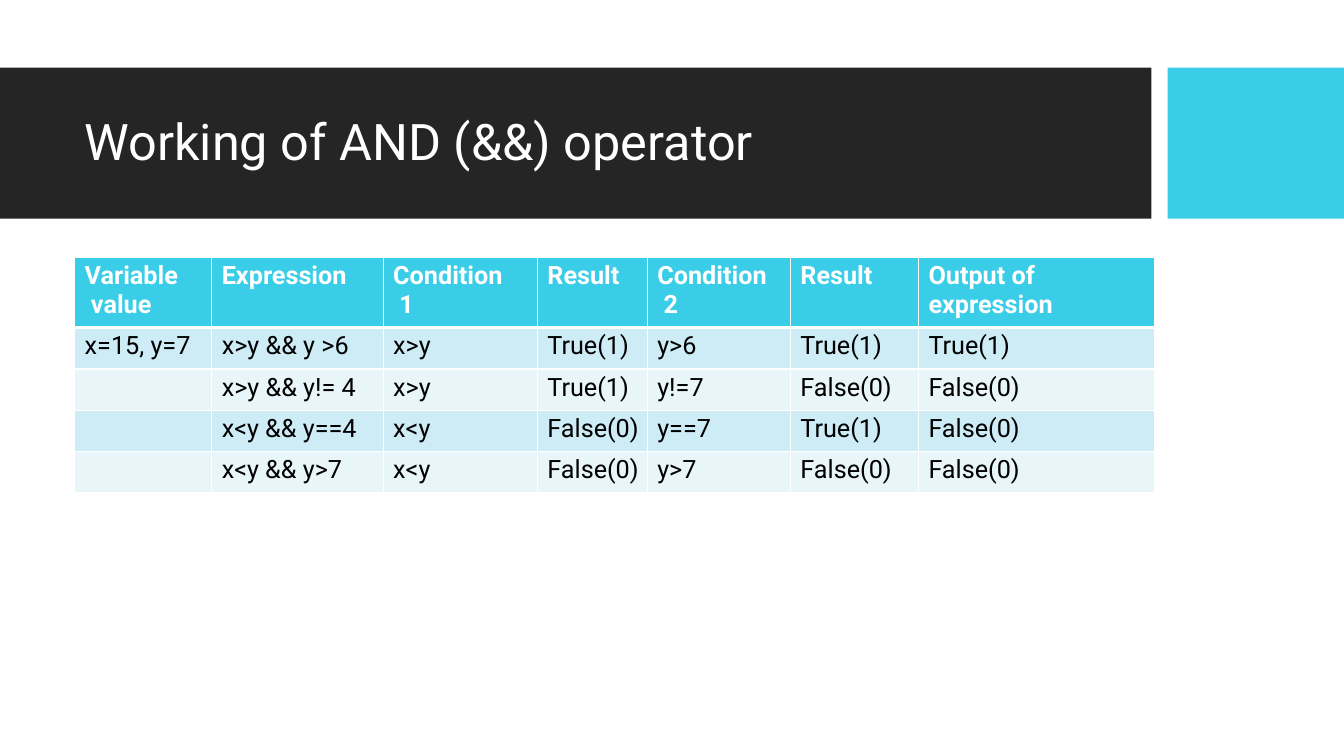
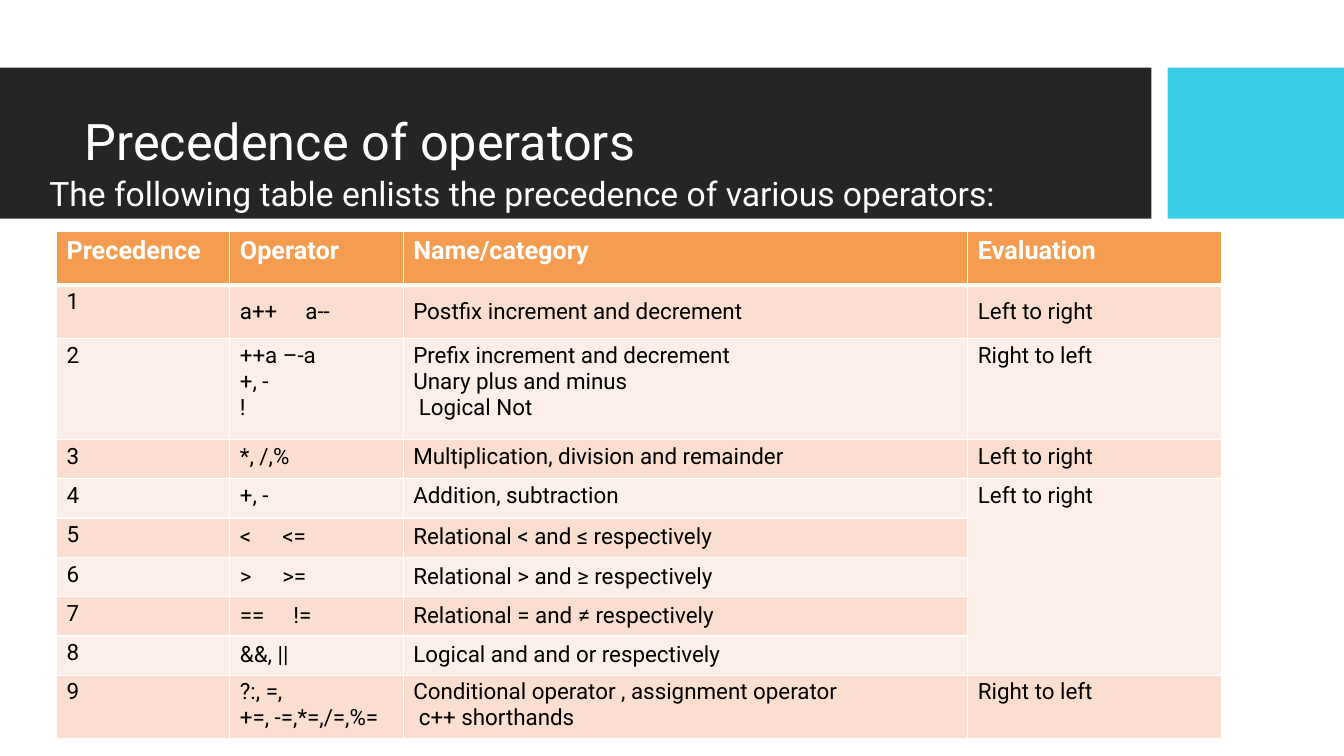
import pptx
import pptx.dml.color
import pptx.enum.shapes
import pptx.enum.text
import pptx.oxml
import pptx.oxml.ns
import pptx.util
from pptx.dml.color import RGBColor
from pptx.util import Inches

WHITE = RGBColor(0xFF, 0xFF, 0xFF)
BLACK = RGBColor(0x00, 0x00, 0x00)
CHARCOAL = RGBColor(0x25, 0x25, 0x25)
CYAN = RGBColor(0x39, 0xCD, 0xE7)
CYAN_BANDS = RGBColor(0xE8, 0xF6, 0xF9), RGBColor(0xCE, 0xEC, 0xF6)
ORANGE = RGBColor(0xF4, 0x9D, 0x50)
ORANGE_BANDS = RGBColor(0xFC, 0xEF, 0xE9), RGBColor(0xFA, 0xDF, 0xD0)
FONT = "Roboto"
CELL_INSET = 0.04
TAB_STOPS = {"a++": 0.65, "<": 0.42, ">": 0.42, "==": 0.53}


def style_font(paragraph, size, color, bold=False):
    paragraph.font.name = FONT
    paragraph.font.size = pptx.util.Pt(size)
    paragraph.font.color.rgb = color
    paragraph.font.bold = bold


def style_cell(cell, text, inset, fill, size, color, bold, rule_widths):
    cell.margin_left = Inches(0.1)
    cell.margin_top = Inches(inset)
    cell.margin_right = cell.margin_bottom = 0
    cell.text = text
    for paragraph in cell.text_frame.paragraphs:
        stop = TAB_STOPS.get(paragraph.text.split("\t")[0])
        if stop:
            paragraph._p.get_or_add_pPr().append(pptx.oxml.parse_xml(
                f'<a:tabLst {pptx.oxml.ns.nsdecls("a")}>'
                f'<a:tab pos="{Inches(stop)}" algn="l"/></a:tabLst>'))
        style_font(paragraph, size, color, bold)
    properties = cell._tc.get_or_add_tcPr()
    for side, width in zip("LRTB", rule_widths):
        properties.append(pptx.oxml.parse_xml(
            f'<a:ln{side} {pptx.oxml.ns.nsdecls("a")} w="{pptx.util.Pt(width)}">'
            f'<a:solidFill><a:srgbClr val="{WHITE}"/></a:solidFill></a:ln{side}>'))
    cell.fill.solid()
    cell.fill.fore_color.rgb = fill


pages = [
    {
        "title_box": (0.83, 1.06, 6.78, 0.63),
        "title_inset": 0.03,
        "title_lines": [("Working of AND (&&) operator", 36, 0.01)],
        "table_origin": (0.74, 2.55),
        "columns": [1.36, 1.7, 1.53, 1.09, 1.42, 1.27, 2.34],
        "heights": [0.7] + [0.41] * 4,
        "header_fill": CYAN,
        "bands": CYAN_BANDS,
        "body_size": 18,
        "rows": [
            (CELL_INSET, ["Variable\v value", "Expression", "Condition\v 1", "Result",
                          "Condition\v 2", "Result", "Output of\vexpression"]),
            (CELL_INSET, ["x=15, y=7", "x>y && y >6", "x>y", "True(1)", "y>6", "True(1)", "True(1)"]),
            (CELL_INSET, ["", "x>y && y!= 4", "x>y", "True(1)", "y!=7", "False(0)", "False(0)"]),
            (CELL_INSET, ["", "x<y && y==4", "x<y", "False(0)", "y==7", "True(1)", "False(0)"]),
            (CELL_INSET, ["", "x<y && y>7", "x<y", "False(0)", "y>7", "False(0)", "False(0)"]),
        ],
        "merges": [],
    },
    {
        "title_box": (0.48, 1.02, 9.65, 1.09),
        "title_inset": 0.07,
        "title_lines": [
            ("Precedence of operators", 36, 0.36),
            ("The following table enlists the precedence of various operators:", 24, 0.01),
        ],
        "table_origin": (0.56, 2.3),
        "columns": [1.72, 1.72, 5.6, 2.52],
        "heights": [0.53, 0.53, 1] + [0.39] * 6 + [0.63],
        "header_fill": ORANGE,
        "bands": ORANGE_BANDS,
        "body_size": 16,
        "rows": [
            (CELL_INSET, ["Precedence", "Operator", "Name/category", "Evaluation"]),
            (0.13, ["1", "a++\ta--", "Postfix increment and decrement", "Left to right"]),
            (CELL_INSET, ["2", "++a –-a\n+, -\n!",
                          "Prefix increment and decrement\nUnary plus and minus\n Logical Not",
                          "Right to left"]),
            (CELL_INSET, ["3", "*, /,%", "Multiplication, division and remainder", "Left to right"]),
            (CELL_INSET, ["4", "+, -", "Addition, subtraction", "Left to right"]),
            (0.06, ["5", "<\t<=", "Relational < and ≤ respectively", ""]),
            (0.06, ["6", ">\t>=", "Relational > and ≥ respectively", ""]),
            (0.06, ["7", "==\t!=", "Relational = and ≠ respectively", ""]),
            (0.06, ["8", "&&, ||", "Logical and and or respectively", ""]),
            (CELL_INSET, ["9", "?:, =,\n+=, -=,*=,/=,%=",
                          "Conditional operator , assignment operator\n c++ shorthands",
                          "Right to left"]),
        ],
        "merges": [((4, 3), (8, 3))],
    },
]

deck = pptx.Presentation()
deck.slide_width = Inches(13.33)
deck.slide_height = Inches(7.5)
layout = deck.slide_layouts[5]
for placeholder in list(layout.placeholders):
    if placeholder.placeholder_format.type != pptx.enum.shapes.PP_PLACEHOLDER.TITLE:
        placeholder.element.getparent().remove(placeholder.element)

slides = [deck.slides.add_slide(layout) for page in pages]

for left, width, color in [(0, 11.42, CHARCOAL), (11.58, 1.75, CYAN)]:
    band = slides[0].shapes.add_shape(
        pptx.enum.shapes.MSO_SHAPE.RECTANGLE,
        Inches(left), Inches(0.67), Inches(width), Inches(1.5))
    band.shadow.inherit = False
    band.fill.solid()
    band.fill.fore_color.rgb = color
    band.line.fill.background()
    band_id = len(layout.shapes) + 2
    layout.shapes.element.append(band.element)
    band.element.nvSpPr.cNvPr.set("id", str(band_id))

for slide, page in zip(slides, pages):
    title = slide.shapes.title
    title.left, title.top, title.width, title.height = map(Inches, page["title_box"])
    frame = title.text_frame
    frame.text = "\n".join(line for line, size, indent in page["title_lines"])
    frame.word_wrap = True
    frame.auto_size = pptx.enum.text.MSO_AUTO_SIZE.NONE
    frame.vertical_anchor = pptx.enum.text.MSO_ANCHOR.TOP
    frame.margin_left = frame.margin_right = frame.margin_bottom = 0
    frame.margin_top = Inches(page["title_inset"])
    for paragraph, (line, size, indent) in zip(frame.paragraphs, page["title_lines"]):
        style_font(paragraph, size, WHITE)
        paragraph.alignment = pptx.enum.text.PP_ALIGN.LEFT
        paragraph.space_before = pptx.util.Pt(1.7 if size < 36 else 0)
        paragraph._p.get_or_add_pPr().set("marL", str(Inches(indent)))

    columns, heights, rows = page["columns"], page["heights"], page["rows"]
    left, top = page["table_origin"]
    table = slide.shapes.add_table(
        len(rows), len(columns), Inches(left), Inches(top),
        Inches(sum(columns)), Inches(sum(heights))).table
    for column, width in zip(table.columns, columns):
        column.width = Inches(width)
    for row, height in zip(table.rows, heights):
        row.height = Inches(height)

    for row_index, (inset, texts) in enumerate(rows):
        header = row_index == 0
        fill = page["header_fill"] if header else page["bands"][row_index % 2]
        size = 18 if header else page["body_size"]
        color = WHITE if header else BLACK
        rule_widths = (1, 1, 3 if row_index == 1 else 1, 3 if header else 1)
        for column_index, text in enumerate(texts):
            cell_inset = inset if column_index else CELL_INSET
            style_cell(table.cell(row_index, column_index), text, cell_inset,
                       fill, size, color, header, rule_widths)

    for first, last in page["merges"]:
        table.cell(*first).merge(table.cell(*last))

deck.save("out.pptx")
